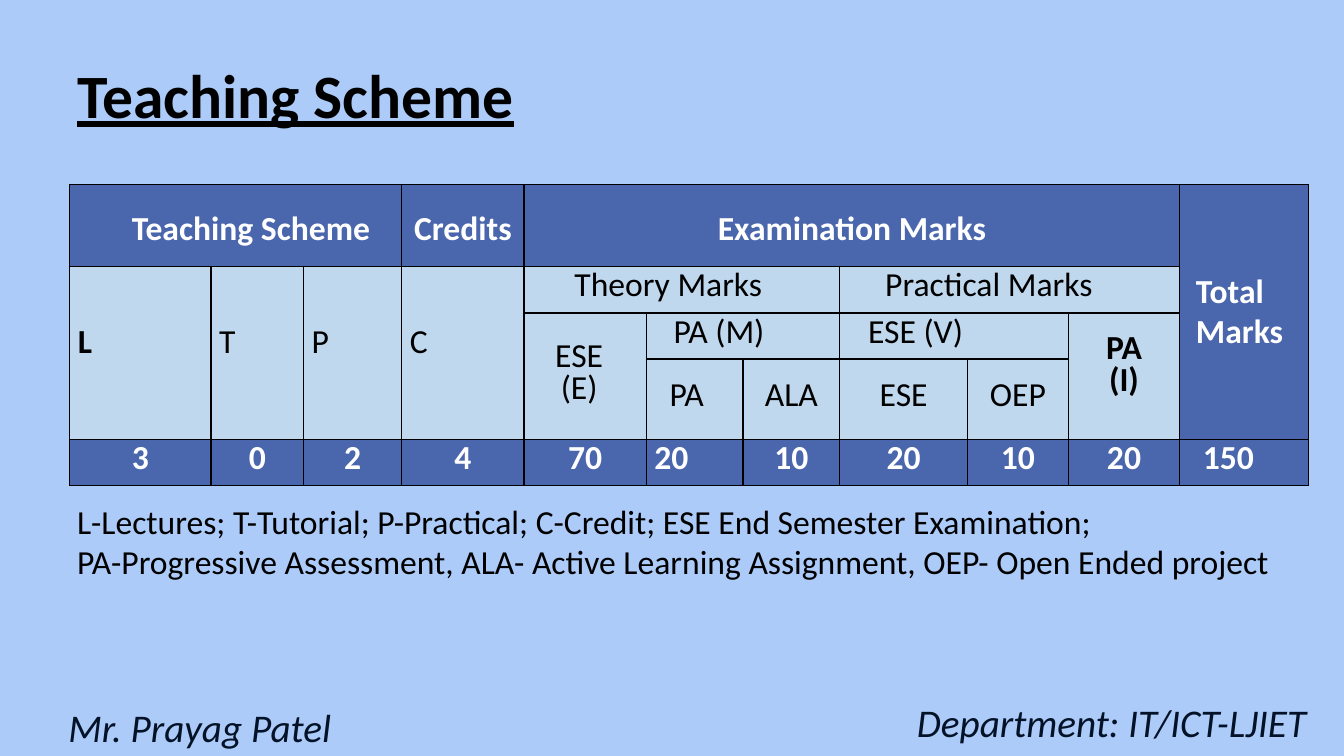
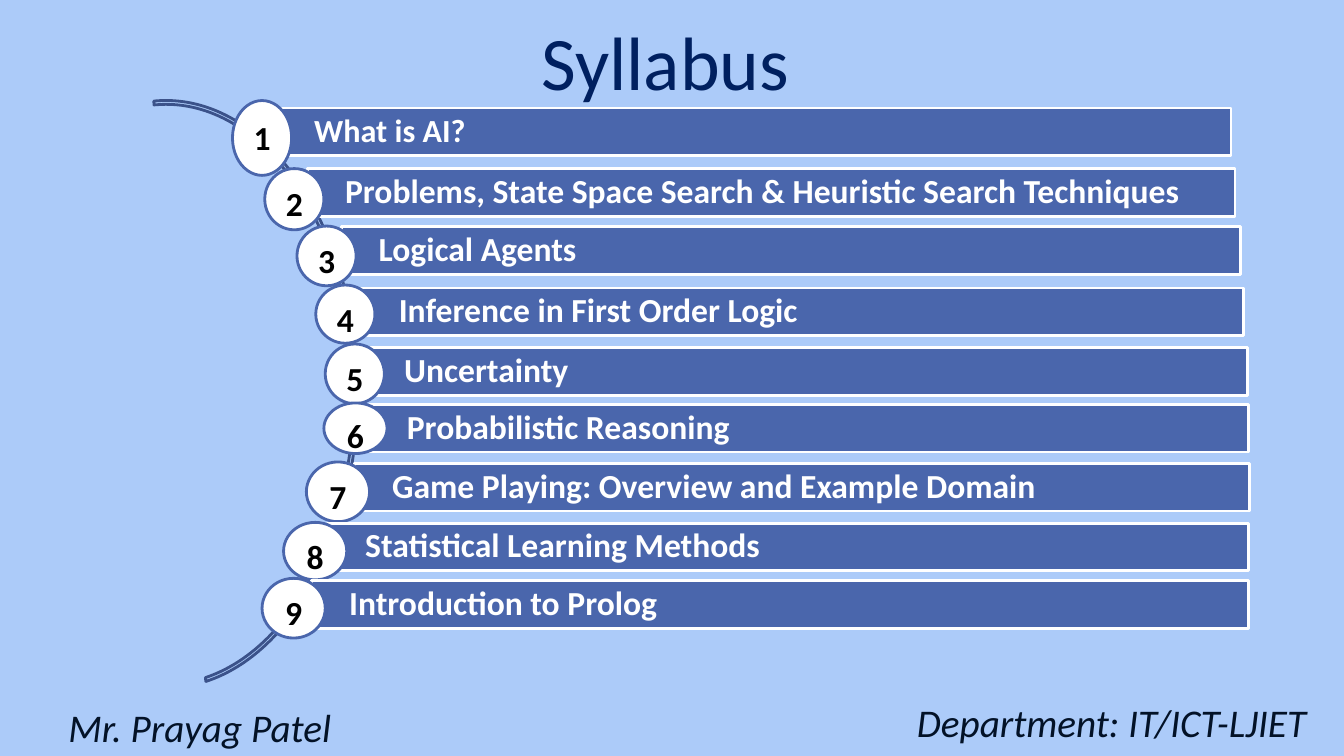
from dataclasses import dataclass

from lxml import etree
from pptx import Presentation
from pptx import util as u
from pptx.dml.color import RGBColor
from pptx.enum import shapes, text
from pptx.oxml import ns

LEFT, CENTER, RIGHT = text.PP_ALIGN.LEFT, text.PP_ALIGN.CENTER, text.PP_ALIGN.RIGHT
TOP, MIDDLE = text.MSO_ANCHOR.TOP, text.MSO_ANCHOR.MIDDLE
WIDTH, HEIGHT = u.Inches(13.333), u.Inches(7.5)


@dataclass(frozen=True)
class Theme:
    font: str = "Calibri"
    sky: str = "ACCBF9"
    blue: str = "4A66AC"
    pale: str = "C0D8ED"
    navy: str = "002060"
    arc: str = "3B528A"
    ink: str = "031227"
    black: str = "000000"
    white: str = "FFFFFF"
    body: int = 24
    footer: int = 28
    heading: int = 44
    display: int = 54
    outline: int = 2
    cell_leading: int = 23


THEME = Theme()


@dataclass
class Cell:
    """One table cell; pad is left, top, right, bottom in inches."""
    row: int
    column: int
    label: str
    rows: int = 1
    columns: int = 1
    dark: bool = False
    bold: bool = False
    align: int = CENTER
    pad: tuple = (0, 0, 0, 0)
    leading: object = u.Pt(THEME.cell_leading)


@dataclass
class Unit:
    """A syllabus bar and its numbered badge, in percent of the slide."""
    title: str
    bar_left: float
    bar_top: float
    bar_right: float
    badge: tuple
    size: int = THEME.body


# Percent of the slide's width and height
COLUMNS = (10.5, 6.9, 7.3, 9.1, 9.1, 7.2, 7.2, 9.5, 7.5, 8.3, 9.6)
ROWS = (10.9, 6.1, 6.1, 10.6, 6.1)
BAR_HEIGHT = 6.3

HEADERS = [
    Cell(0, 0, "Teaching Scheme", columns=3, dark=True, pad=(0.3, 0.16, 0, 0)),
    Cell(0, 3, "Credits", dark=True, pad=(0, 0.16, 0, 0)),
    Cell(0, 4, "Examination Marks", columns=6, dark=True, pad=(0, 0.16, 0, 0)),
    Cell(0, 10, "Total Marks", rows=4, dark=True, align=LEFT,
         pad=(0.16, 0, 0, 0), leading=0.98),
]
LOADS = [Cell(1, column, letter, rows=3, bold=letter == "L", align=LEFT,
              pad=(0.08, 0, 0, 0.13))
         for column, letter in enumerate("LTPC")]
EXAMS = [
    Cell(1, 4, "Theory Marks", columns=3, align=LEFT, pad=(0.5, 0, 0, 0)),
    Cell(1, 7, "Practical Marks", columns=3, align=LEFT, pad=(0.45, 0, 0, 0)),
    Cell(2, 4, "ESE\n(E)", rows=2, pad=(0, 0, 0.12, 0)),
    Cell(2, 5, "PA (M)", columns=2, align=LEFT, pad=(0.27, 0, 0, 0)),
    Cell(2, 7, "ESE (V)", columns=2, align=LEFT, pad=(0.28, 0, 0, 0)),
    Cell(2, 9, "PA\n(I)", rows=2, bold=True, pad=(0, 0, 0, 0.15)),
    Cell(3, 5, "PA", align=LEFT, pad=(0.23, 0, 0, 0)),
    Cell(3, 6, "ALA"),
    Cell(3, 7, "ESE"),
    Cell(3, 8, "OEP"),
]
MARKS = ("3", "0", "2", "4", "70", "20", "10", "20", "10", "20", "150")
MARK_INDENTS = {5: 0.08, 10: 0.23}
TOTALS = [Cell(4, column, mark, dark=True,
               align=LEFT if column in MARK_INDENTS else CENTER,
               pad=(MARK_INDENTS.get(column, 0), 0, 0, 0))
          for column, mark in enumerate(MARKS)]

UNITS = [
    Unit("What is AI?", 20.6, 14.3, 91.6, (17.3, 13.3, 4.4, 9.9), size=23),
    Unit("Problems, State Space Search & Heuristic Search Techniques",
         22.9, 22.3, 91.9, (19.7, 22.3, 4.4, 8.1)),
    Unit("Logical Agents", 25.4, 30, 92.3, (22.1, 29.9, 4.4, 7.9)),
    Unit("Inference in First Order Logic", 26.9, 38.1, 92.5, (23.5, 37.7, 4.4, 7.7)),
    Unit("Uncertainty", 27.3, 46, 92.8, (24.2, 45.5, 4.4, 7.9)),
    Unit("Probabilistic Reasoning", 27.5, 53.5, 92.9, (24.1, 53.3, 4.7, 6.7)),
    Unit("Game Playing: Overview and Example Domain",
         26.4, 61.3, 93, (22.8, 61.1, 4.7, 7.9)),
    Unit("Statistical Learning Methods", 24.4, 69.2, 92.9, (21.1, 69.1, 4.7, 7.6)),
    Unit("Introduction to Prolog", 23.2, 76.8, 92.9, (19.5, 76.5, 4.7, 7.9)),
]


def across(share):
    return round(WIDTH * share / 100)


def down(share):
    return round(HEIGHT * share / 100)


def place(left, top, width, height):
    return across(left), down(top), across(width), down(height)


def color(value):
    return RGBColor.from_string(value)


def write(frame, words, size=THEME.body, ink=THEME.black, align=LEFT, anchor=TOP,
          leading=None, bold=False, italic=False, underline=False):
    frame.text = words
    frame.word_wrap = True
    frame.vertical_anchor = anchor
    for para in frame.paragraphs:
        para.alignment = align
        para.line_spacing = leading
        for span in para.runs:
            font = span.font
            font.name, font.size = THEME.font, u.Pt(size)
            font.color.rgb = color(ink)
            font.bold, font.italic, font.underline = bold, italic, underline


def pad(target, left, top, right, bottom):
    """Set the insets of a text frame or a table cell, in inches."""
    target.margin_left, target.margin_top = u.Inches(left), u.Inches(top)
    target.margin_right, target.margin_bottom = u.Inches(right), u.Inches(bottom)


def add_text(page, spot, words, **style):
    box = page.shapes.add_textbox(*place(*spot))
    write(box.text_frame, words, **style)
    return box


def add_outlined(page, kind, spot, line, fill=None):
    shape = page.shapes.add_shape(kind, *place(*spot))
    shape.shadow.inherit = False
    if fill:
        shape.fill.solid()
        shape.fill.fore_color.rgb = color(fill)
    else:
        shape.fill.background()
    shape.line.color.rgb = color(line)
    shape.line.width = u.Pt(THEME.outline)
    return shape


def add_page(deck):
    """Add a blank page with the shared footers."""
    page = deck.slides.add_slide(deck.slide_layouts[6])
    style = dict(size=THEME.footer, ink=THEME.ink, italic=True, leading=1.14)
    department = add_text(page, (60.6, 90.9, 38.4, 8.4), "Department: IT/ICT-LJIET",
                          align=RIGHT, **style)
    department.text_frame.margin_right = u.Inches(0.24)
    add_text(page, (4.35, 91.5, 63.9, 8.4), "Mr. Prayag Patel", **style)
    return page


def add_borders(cell):
    properties = cell._tc.get_or_add_tcPr()
    for index, side in enumerate(("lnL", "lnR", "lnT", "lnB")):
        line = etree.Element(ns.qn("a:" + side), w=str(u.Pt(1)))
        fill = etree.SubElement(line, ns.qn("a:solidFill"))
        etree.SubElement(fill, ns.qn("a:srgbClr"), val=THEME.black)
        properties.insert(index, line)


def fill_cell(table, item):
    cell = table.cell(item.row, item.column)
    if item.rows * item.columns > 1:
        cell.merge(table.cell(item.row + item.rows - 1,
                              item.column + item.columns - 1))
    cell.fill.solid()
    cell.fill.fore_color.rgb = color(THEME.blue if item.dark else THEME.pale)
    write(cell.text_frame, item.label, align=item.align, leading=item.leading,
          ink=THEME.white if item.dark else THEME.black,
          bold=item.dark or item.bold)
    pad(cell, *item.pad)
    cell.vertical_anchor = MIDDLE


def add_marks_table(page):
    spot = place(5.2, 24.4, sum(COLUMNS), sum(ROWS))
    table = page.shapes.add_table(len(ROWS), len(COLUMNS), *spot).table
    for column, share in zip(table.columns, COLUMNS):
        column.width = across(share)
    for row, share in zip(table.rows, ROWS):
        row.height = down(share)
    for item in HEADERS + LOADS + EXAMS + TOTALS:
        fill_cell(table, item)
    for cell in table.iter_cells():
        add_borders(cell)


def add_unit(page, number, unit):
    spot = (unit.bar_left, unit.bar_top, unit.bar_right - unit.bar_left, BAR_HEIGHT)
    bar = add_outlined(page, shapes.MSO_SHAPE.RECTANGLE, spot, THEME.white, THEME.blue)
    write(bar.text_frame, unit.title, size=unit.size, ink=THEME.white,
          anchor=MIDDLE, leading=0.9, bold=True)
    pad(bar.text_frame, 0.37, 0.06, 0.06, 0.06)
    badge = add_outlined(page, shapes.MSO_SHAPE.OVAL, unit.badge, THEME.blue, THEME.white)
    write(badge.text_frame, str(number), align=CENTER, bold=True)


def build_scheme(deck):
    page = add_page(deck)
    add_text(page, (5, 4, 90, 16.7), "Teaching Scheme", size=THEME.heading,
             anchor=MIDDLE, bold=True, underline=True)
    add_marks_table(page)
    add_text(page, (5, 65.6, 93, 12.1),
             "L-Lectures; T-Tutorial; P-Practical; C-Credit; ESE End Semester Examination;\n"
             "PA-Progressive Assessment, ALA- Active Learning Assignment, "
             "OEP- Open Ended project")


def build_syllabus(deck):
    page = add_page(deck)
    add_text(page, (10.1, 0.3, 78.8, 15.3), "Syllabus", size=THEME.display,
             ink=THEME.navy, align=CENTER, anchor=MIDDLE)
    arc = add_outlined(page, shapes.MSO_SHAPE.BLOCK_ARC, (-1.9, 13.3, 28.5, 77.7),
                       THEME.arc)
    for index, value in enumerate((160.58, 49.25, 0.01)):
        arc.adjustments[index] = value
    for number, unit in enumerate(UNITS, 1):
        add_unit(page, number, unit)


def main():
    deck = Presentation()
    deck.slide_width, deck.slide_height = WIDTH, HEIGHT
    backdrop = deck.slide_master.background.fill
    backdrop.solid()
    backdrop.fore_color.rgb = color(THEME.sky)
    build_scheme(deck)
    build_syllabus(deck)
    deck.save("out.pptx")


if __name__ == "__main__":
    main()
